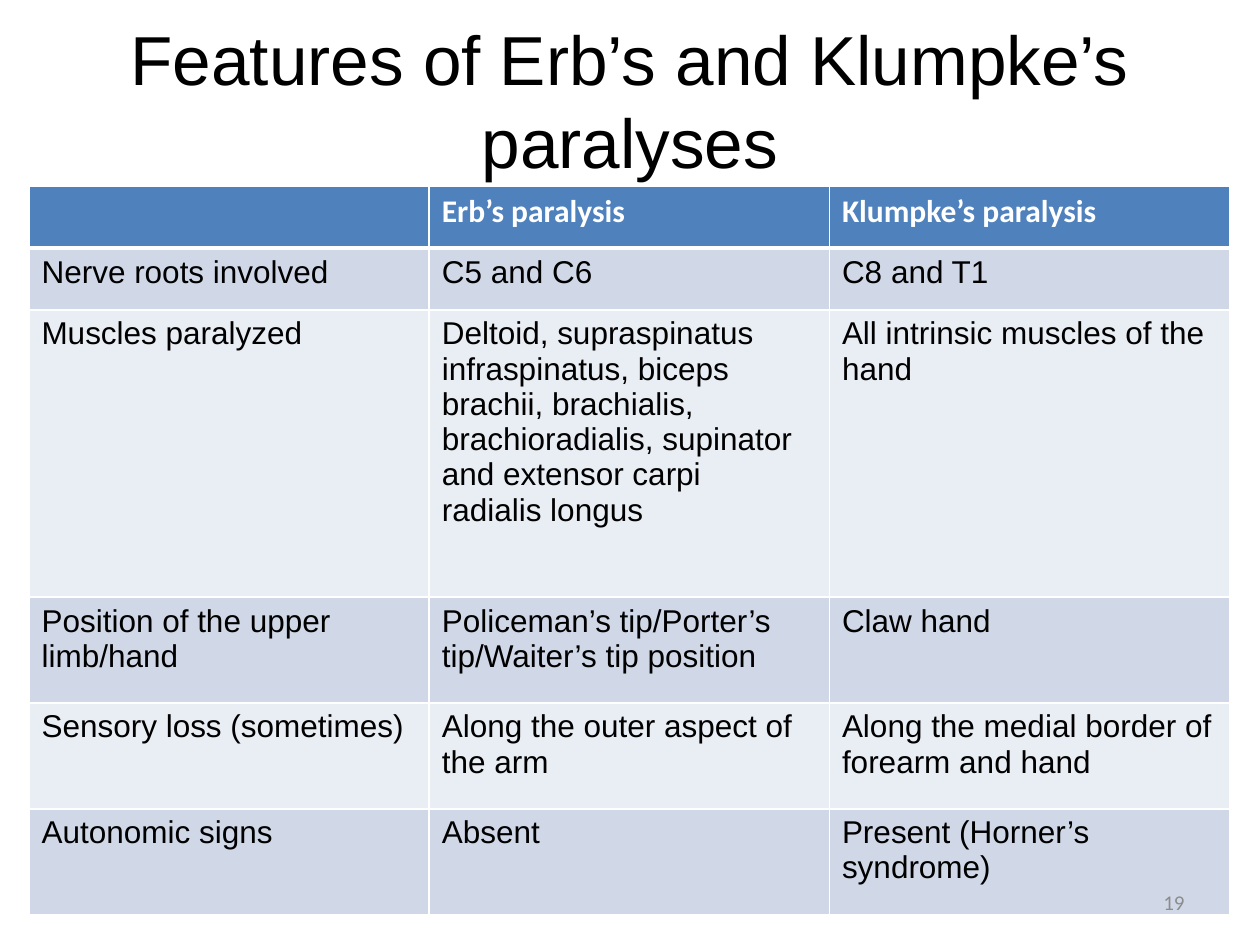
from dataclasses import dataclass

import lxml.etree
import pptx
import pptx.dml.color
import pptx.enum.text
import pptx.oxml.ns
import pptx.util


@dataclass(frozen=True)
class Theme:
    """Colours, fonts and type sizes of the slide."""
    black: str = "000000"
    white: str = "FFFFFF"
    header: str = "4F81BD"
    bands: tuple = ("D0D8E8", "E9EDF4")
    muted: str = "8C8C8C"
    body_font: str = "Arial"
    accent_font: str = "Calibri"
    title_size: float = 39.6
    table_size: float = 18
    number_size: float = 12


THEME = Theme()
WIDTH, HEIGHT = pptx.util.Inches(10), pptx.util.Inches(7.5)
ROW_HEIGHTS = (0.49, 0.49, 2.28, 0.84, 0.84, 0.84)
ROWS = (
    ("", "Erb’s paralysis", "Klumpke’s paralysis"),
    ("Nerve roots involved", "C5 and C6", "C8 and T1"),
    ("Muscles paralyzed",
     "Deltoid, supraspinatus infraspinatus, biceps brachii, brachialis, "
     "brachioradialis, supinator and extensor carpi\nradialis longus",
     "All intrinsic muscles of the hand"),
    ("Position of the upper limb/hand",
     "Policeman’s tip/Porter’s tip/Waiter’s tip position", "Claw hand"),
    ("Sensory loss (sometimes)", "Along the outer aspect of the arm",
     "Along the medial border of forearm and hand"),
    ("Autonomic signs", "Absent", "Present (Horner’s syndrome)"),
)


def rgb(value):
    """Return a colour object for a hex value."""
    return pptx.dml.color.RGBColor.from_string(value)


def write_text(frame, text, font, size, color, bold=False, alignment=None):
    """Write each line of text as a paragraph with one styled run."""
    for index, line in enumerate(text.split("\n")):
        paragraph = frame.add_paragraph() if index else frame.paragraphs[0]
        paragraph.alignment = alignment
        if line:
            run = paragraph.add_run()
            run.text = line
            run.font.name = font
            run.font.size = pptx.util.Pt(size)
            run.font.bold = bold
            run.font.color.rgb = rgb(color)


def add_label(slide, left, top, width, height, text, font, size, color, alignment):
    """Add a vertically centred text box placed by shares of the slide."""
    shape = slide.shapes.add_textbox(
        int(WIDTH * left), int(HEIGHT * top), int(WIDTH * width), int(HEIGHT * height))
    shape.text_frame.word_wrap = True
    shape.text_frame.vertical_anchor = pptx.enum.text.MSO_ANCHOR.MIDDLE
    write_text(shape.text_frame, text, font, size, color, alignment=alignment)


def set_borders(cell, widths):
    """Draw white cell borders with widths in points keyed by side."""
    properties = cell._tc.get_or_add_tcPr()
    for position, (side, width) in enumerate(widths.items()):
        line = lxml.etree.Element(
            pptx.oxml.ns.qn(f"a:ln{side}"), w=str(int(pptx.util.Pt(width))))
        fill = lxml.etree.SubElement(line, pptx.oxml.ns.qn("a:solidFill"))
        lxml.etree.SubElement(fill, pptx.oxml.ns.qn("a:srgbClr"), val=THEME.white)
        properties.insert(position, line)


def fill_cell(cell, text, row_index):
    """Give a cell its text, band colour and borders."""
    header = row_index == 0
    cell.fill.solid()
    cell.fill.fore_color.rgb = rgb(
        THEME.header if header else THEME.bands[(row_index - 1) % 2])
    write_text(cell.text_frame, text,
               THEME.accent_font if header else THEME.body_font, THEME.table_size,
               THEME.white if header else THEME.black, bold=header)
    set_borders(cell, {"L": 1, "R": 1, "T": 3 if row_index == 1 else 1,
                       "B": 3 if header else 1})


def add_comparison_table(slide):
    """Add the table comparing the two paralyses."""
    table = slide.shapes.add_table(
        len(ROWS), len(ROWS[0]), pptx.util.Inches(0.23), pptx.util.Inches(1.48),
        pptx.util.Inches(9.53), pptx.util.Inches(sum(ROW_HEIGHTS))).table
    table.first_row = table.horz_banding = False
    for row_index, (texts, height) in enumerate(zip(ROWS, ROW_HEIGHTS)):
        table.rows[row_index].height = pptx.util.Inches(height)
        for column_index, text in enumerate(texts):
            fill_cell(table.cell(row_index, column_index), text, row_index)


def main():
    """Build and save the slide."""
    presentation = pptx.Presentation()
    presentation.slide_width, presentation.slide_height = WIDTH, HEIGHT
    slide = presentation.slides.add_slide(presentation.slide_layouts[6])
    align = pptx.enum.text.PP_ALIGN
    add_label(slide, 0.05, 0, 0.9, 0.21, "Features of Erb’s and Klumpke’s paralyses",
              THEME.body_font, THEME.title_size, THEME.black, align.CENTER)
    add_comparison_table(slide)
    add_label(slide, 0.72, 0.93, 0.23, 0.05, "19",
              THEME.accent_font, THEME.number_size, THEME.muted, align.RIGHT)
    presentation.save("out.pptx")


if __name__ == "__main__":
    main()
